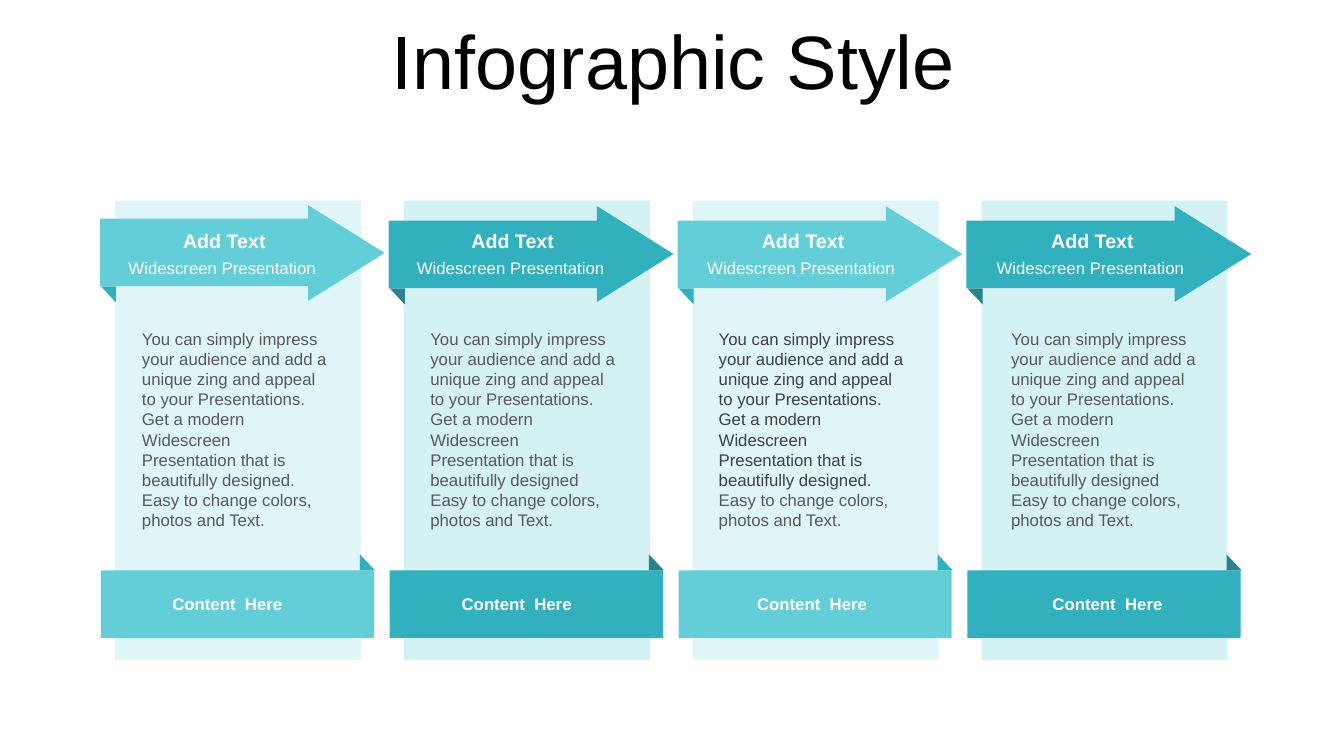
import pptx
import pptx.util
import pptx.dml.color
import pptx.enum.shapes
import pptx.enum.text

Inches = pptx.util.Inches
SHAPES = pptx.enum.shapes.MSO_SHAPE
ALIGN = pptx.enum.text.PP_ALIGN
ANCHOR = pptx.enum.text.MSO_ANCHOR

FIRST_LEFT = 1.14
PITCH = 2.865
LIGHT = {"panel": "E0F5F7", "ribbon": "64CED8", "fold": "30B1BD"}
DARK = {"panel": "D4F1F4", "ribbon": "32B0BE", "fold": "25848E"}
GREY = "595959"
CHARCOAL = "404040"
PITCH_TEXT = (
    "You can simply impress your audience and add a unique zing and appeal "
    "to your Presentations. Get a modern Widescreen  Presentation that is "
    "beautifully designed"
)
CLOSING = "Easy to change colors, photos and Text."

COLUMNS = [
    {"theme": LIGHT, "stop": ". ", "ink": GREY, "lift": 0.02,
     "body_left": 1.31, "heading_left": 1.05, "footer_left": 1.40},
    {"theme": DARK, "stop": " ", "ink": GREY, "lift": 0,
     "body_left": 4.17, "heading_left": 3.91, "footer_left": 4.27},
    {"theme": LIGHT, "stop": ". ", "ink": CHARCOAL, "lift": 0,
     "body_left": 7.03, "heading_left": 6.79, "footer_left": 7.20},
    {"theme": DARK, "stop": " ", "ink": GREY, "lift": 0,
     "body_left": 9.93, "heading_left": 9.66, "footer_left": 10.13},
]


def rgb(value):
    return pptx.dml.color.RGBColor.from_string(value)


def add_block(slide, preset, left, top, width, height, color, rotation=0):
    block = slide.shapes.add_shape(
        preset, Inches(left), Inches(top), Inches(width), Inches(height))
    block.shadow.inherit = False
    block.fill.solid()
    block.fill.fore_color.rgb = rgb(color)
    block.line.fill.background()
    block.rotation = rotation


def add_text(slide, text, left, top, width, height, size=12, color="FFFFFF",
             bold=False, align=ALIGN.CENTER, anchor=ANCHOR.TOP, spacing=1.0):
    box = slide.shapes.add_textbox(
        Inches(left), Inches(top), Inches(width), Inches(height))
    frame = box.text_frame
    frame.word_wrap = True
    frame.vertical_anchor = anchor
    paragraph = frame.paragraphs[0]
    paragraph.alignment = align
    paragraph.line_spacing = spacing
    pieces = [(text, color)] if isinstance(text, str) else text
    for words, ink in pieces:
        run = paragraph.add_run()
        run.text = words
        run.font.name = "Arial"
        run.font.size = pptx.util.Pt(size)
        run.font.bold = bold
        run.font.color.rgb = rgb(ink)


def add_footer_ribbon(slide, left, theme):
    add_block(slide, SHAPES.RECTANGLE, left - 0.14, 5.66, 2.71, 0.67,
              theme["ribbon"])
    add_block(slide, SHAPES.RIGHT_TRIANGLE, left + 2.43, 5.5, 0.15, 0.16,
              theme["fold"])


def add_arrow_ribbon(slide, left, lift, theme):
    add_block(slide, SHAPES.RECTANGLE, left - 0.15, 2.19 - lift, 2.07, 0.67,
              theme["ribbon"])
    add_block(slide, SHAPES.RIGHT_TRIANGLE, left - 0.14, 2.86 - lift,
              0.15, 0.16, theme["fold"], rotation=180)
    add_block(slide, SHAPES.ISOSCELES_TRIANGLE, left + 1.82, 2.14 - lift / 2,
              0.95, 0.76, theme["ribbon"], rotation=90)


def add_column(slide, left, column):
    theme = column["theme"]
    add_block(slide, SHAPES.RECTANGLE, left, 1.99, 2.44, 4.56, theme["panel"])
    add_footer_ribbon(slide, left, theme)
    add_arrow_ribbon(slide, left, column["lift"], theme)
    heading_left = column["heading_left"]
    add_text(slide, "Add Text", heading_left, 2.22, 2.35, 0.34,
             size=14, bold=True)
    add_text(slide, "Widescreen Presentation", heading_left - 0.02, 2.51,
             2.35, 0.3)
    body = [(PITCH_TEXT + column["stop"], column["ink"]), (CLOSING, GREY)]
    add_text(slide, body, column["body_left"], 3.21, 2.07, 2.12,
             align=ALIGN.LEFT)
    add_text(slide, "Content  Here", column["footer_left"], 5.84, 1.71, 0.3,
             bold=True)


def main():
    deck = pptx.Presentation()
    deck.slide_width = Inches(13.33)
    deck.slide_height = Inches(7.5)
    slide = deck.slides.add_slide(deck.slide_layouts[6])
    add_text(slide, "Infographic Style", 0.35, 0.25, 12.66, 0.79, size=54,
             color="000000", anchor=ANCHOR.MIDDLE, spacing=0.9)
    for index, column in enumerate(COLUMNS):
        add_column(slide, FIRST_LEFT + index * PITCH, column)
    deck.save("out.pptx")


if __name__ == "__main__":
    main()
